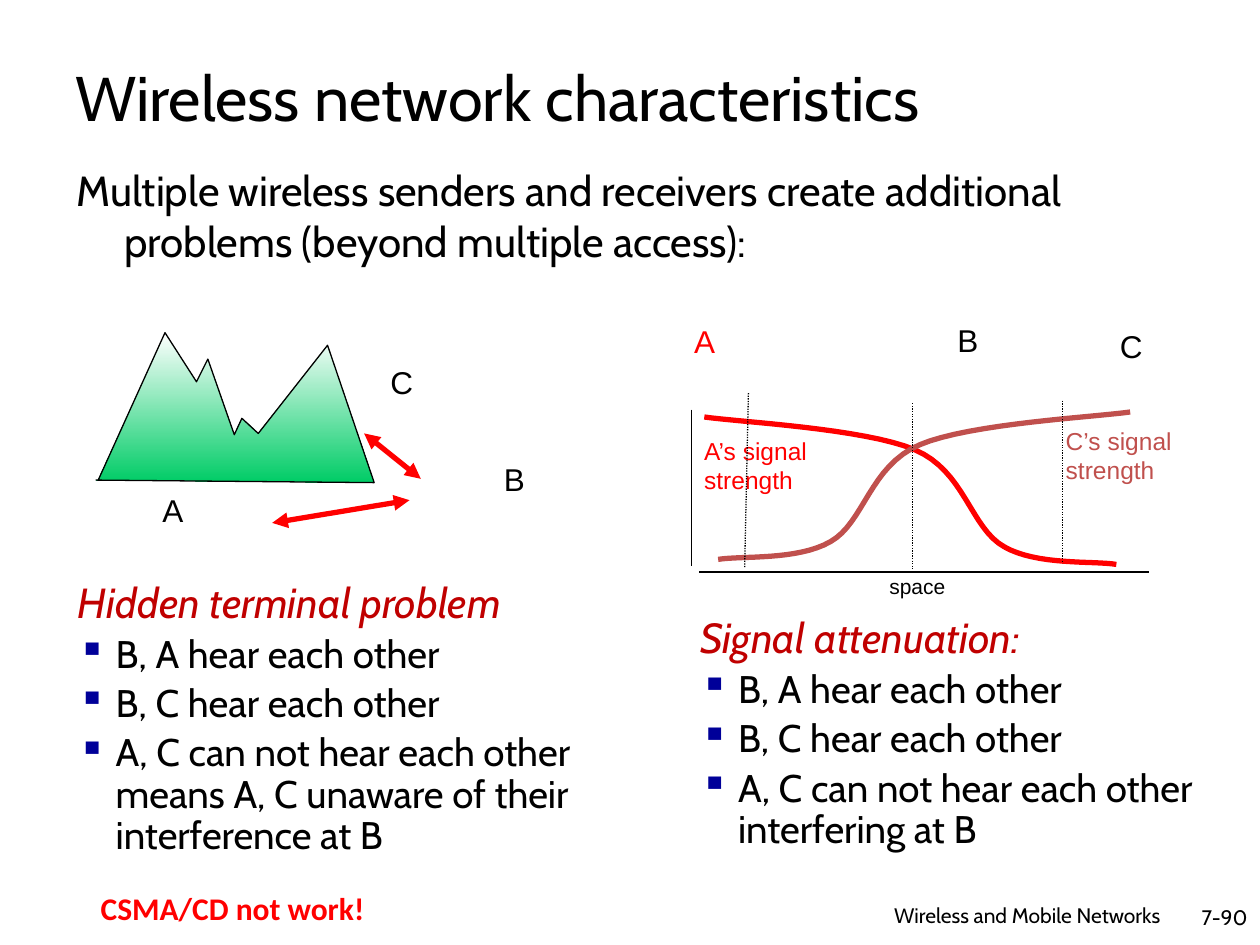
from lxml import etree
from pptx import Presentation
from pptx.dml.color import RGBColor
from pptx.enum import dml, shapes, text
from pptx.oxml import ns
from pptx.util import Inches, Pt

BLACK = RGBColor(0x00, 0x00, 0x00)
WHITE = RGBColor(0xFF, 0xFF, 0xFF)
RED = RGBColor(0xFF, 0x00, 0x00)
DARK_RED = RGBColor(0xC0, 0x00, 0x00)
BRICK = RGBColor(0xC0, 0x50, 0x4D)
GREEN = RGBColor(0x00, 0xCC, 0x66)
NAVY = "000099"


def add_element(parent, tag, **attributes):
    return etree.SubElement(parent, ns.qn(tag), attributes)


def add_text(page, box, lines, size, color=BLACK, font="Arial", wrap=False,
             middle=False, right=False, bold=False):
    """Add a text box at box (left, top, width, height); return its paragraphs."""
    frame = page.shapes.add_textbox(*map(Inches, box)).text_frame
    frame.word_wrap = wrap
    if middle:
        frame.vertical_anchor = text.MSO_ANCHOR.MIDDLE
    frame.text = "\n".join(lines)
    for para in frame.paragraphs:
        if right:
            para.alignment = text.PP_ALIGN.RIGHT
        para.font.name = font
        para.font.size = Pt(size)
        para.font.color.rgb = color
        para.font.bold = bold
    return frame.paragraphs


def set_indent(para, inches):
    props = para._p.get_or_add_pPr()
    props.set("marL", str(Inches(inches)))
    props.set("indent", str(-Inches(inches)))
    return props


def add_line(page, start, end, color=BLACK, width=0.75, dotted=False, arrows=False):
    line = page.shapes.add_connector(
        shapes.MSO_CONNECTOR.STRAIGHT, *map(Inches, (*start, *end)))
    line.line.color.rgb = color
    line.line.width = Pt(width)
    if dotted:
        line.line.dash_style = dml.MSO_LINE.ROUND_DOT
    if arrows:
        outline = line.line._get_or_add_ln()
        for tag in ("a:headEnd", "a:tailEnd"):
            add_element(outline, tag, type="triangle")
    add_element(line._element.spPr, "a:effectLst")


def add_outline(page, left, top, points, color, width):
    corners = [(Inches(left + x), Inches(top + y)) for x, y in points]
    builder = page.shapes.build_freeform(*corners[0])
    builder.add_line_segments(corners[1:], close=False)
    shape = builder.convert_to_shape()
    shape.shadow.inherit = False
    shape.fill.background()
    shape.line.color.rgb = color
    shape.line.width = Pt(width)
    return shape


def bezier_points(knots, steps=16):
    """Sample a chain of cubic Bezier curves that share their end knots."""
    points = [knots[0]]
    for first in range(0, len(knots) - 1, 3):
        curve = knots[first:first + 4]
        for step in range(1, steps + 1):
            t = step / steps
            weights = ((1 - t) ** 3, 3 * t * (1 - t) ** 2, 3 * t * t * (1 - t), t ** 3)
            points.append(tuple(sum(w * knot[axis] for w, knot in zip(weights, curve))
                                for axis in (0, 1)))
    return points


def add_hidden_terminal_figure(page, left, top):
    ridge = [(0.03, 1.17), (0.56, 0), (0.81, 0.39), (0.9, 0.21), (1.11, 0.81),
             (1.17, 0.68), (1.3, 0.8), (1.85, 0.1), (2.22, 1.19), (0.01, 1.17)]
    mountain = add_outline(page, left, top, ridge, BLACK, 0.75)
    mountain.fill.gradient()
    mountain.fill.gradient_angle = 270
    for stop, color, position in zip(mountain.fill.gradient_stops, (WHITE, GREEN), (0, 1)):
        stop.color.rgb = color
        stop.position = position
    for x1, y1, x2, y2 in ((1.41, 1.51, 2.5, 1.33), (2.14, 0.8, 2.59, 1.16)):
        add_line(page, (left + x1, top + y1), (left + x2, top + y2), RED, 3, arrows=True)
    for name, x, y in (("A", 0.44, 1.21), ("B", 3.15, 0.96), ("C", 2.25, 0.19)):
        add_text(page, (left + x, top + y, 0.38, 0.4), [name], 18)


def add_attenuation_figure(page, left, top):
    for name, x, y, color in (("A", 0.01, 0.01, RED), ("B", 2.1, 0, BLACK),
                              ("C", 3.39, 0.05, BLACK)):
        add_text(page, (left + x, top + y, 0.38, 0.4), [name], 18, color)
    add_text(page, (left + 0.09, top + 0.91, 1.02, 0.8),
             ["A’s signal", "strength"], 14, RED, wrap=True)
    add_text(page, (left + 2.96, top + 0.83, 1.05, 0.57),
             ["C’s signal", "strength"], 14, BRICK)
    add_line(page, (left + 0.15, top + 2.04), (left + 3.72, top + 2.04))
    add_line(page, (left + 0.09, top + 0.75), (left + 0.09, top + 1.99))
    add_text(page, (left + 1.56, top + 2, 0.65, 0.3), ["space"], 12)

    a_knots = [(0.19, 0.81), (0.46, 0.85), (1.46, 0.9), (1.86, 1.07), (2.26, 1.24),
               (2.3, 1.69), (2.57, 1.84), (2.83, 1.99), (3.28, 1.95), (3.46, 1.98)]
    c_knots = [(3.76 - x, y - 0.04) for x, y in a_knots]
    for knots, color in ((a_knots, RED), (c_knots, BRICK)):
        add_outline(page, left, top, bezier_points(knots), color, 3)
    for x1, y1, x2, y2 in ((0.54, 0.62, 0.51, 2.01), (1.84, 0.7, 1.84, 2.02),
                           (3.03, 0.68, 3.03, 1.97)):
        add_line(page, (left + x1, top + y1), (left + x2, top + y2), dotted=True)


def add_problem_list(page, box, heading, items):
    title, *bullets = add_text(page, box, [heading, *items], 22, font="Cabin", wrap=True)
    set_indent(title, 0.38)
    title.line_spacing = 0.9
    title.font.size = Pt(24)
    title.font.italic = True
    title.font.color.rgb = DARK_RED
    for para in bullets:
        para.line_spacing = 0.9
        para.space_before = Pt(4.4)
        props = set_indent(para, 0.3)
        add_element(add_element(props, "a:buClr"), "a:srgbClr", val=NAVY)
        add_element(props, "a:buChar", char="▪")


def add_heading(page):
    add_text(page, (0.5, 0.14, 8.5, 1.25), ["Wireless network characteristics"], 36,
             font="Cabin", wrap=True, middle=True)
    intro = add_text(page, (0.51, 1.26, 8.5, 1.22),
                     ["Multiple wireless senders and receivers create additional "
                      "problems (beyond multiple access):"], 24, font="Cabin", wrap=True)
    set_indent(intro[0], 0.38)


def add_footer(page):
    add_text(page, (9.25, 7.13, 0.75, 0.3), ["7-90"], 12, font="Cabin",
             wrap=True, middle=True, right=True)
    add_text(page, (6.4, 7.12, 2.91, 0.28), ["Wireless and Mobile Networks"], 12,
             font="Cabin", wrap=True, middle=True, right=True)
    add_text(page, (0.7, 7.01, 4.08, 0.4), ["CSMA/CD not work!"], 18, RED, "Calibri",
             wrap=True, bold=True)


def main():
    deck = Presentation()
    deck.slide_width, deck.slide_height = Inches(10), Inches(7.5)
    page = deck.slides.add_slide(deck.slide_layouts[6])
    shared = ["B, A hear each other", "B, C hear each other"]
    add_heading(page)
    add_hidden_terminal_figure(page, 0.75, 2.64)
    add_problem_list(page, (0.52, 4.57, 4.54, 2.45), "Hidden terminal problem",
                     shared + ["A, C can not hear each other means A, C unaware "
                               "of their interference at B"])
    add_attenuation_figure(page, 5.4, 2.5)
    add_problem_list(page, (5.46, 4.85, 4.54, 2.27), "Signal attenuation:",
                     shared + ["A, C can not hear each other interfering at B"])
    add_footer(page)
    deck.save("out.pptx")


if __name__ == "__main__":
    main()
